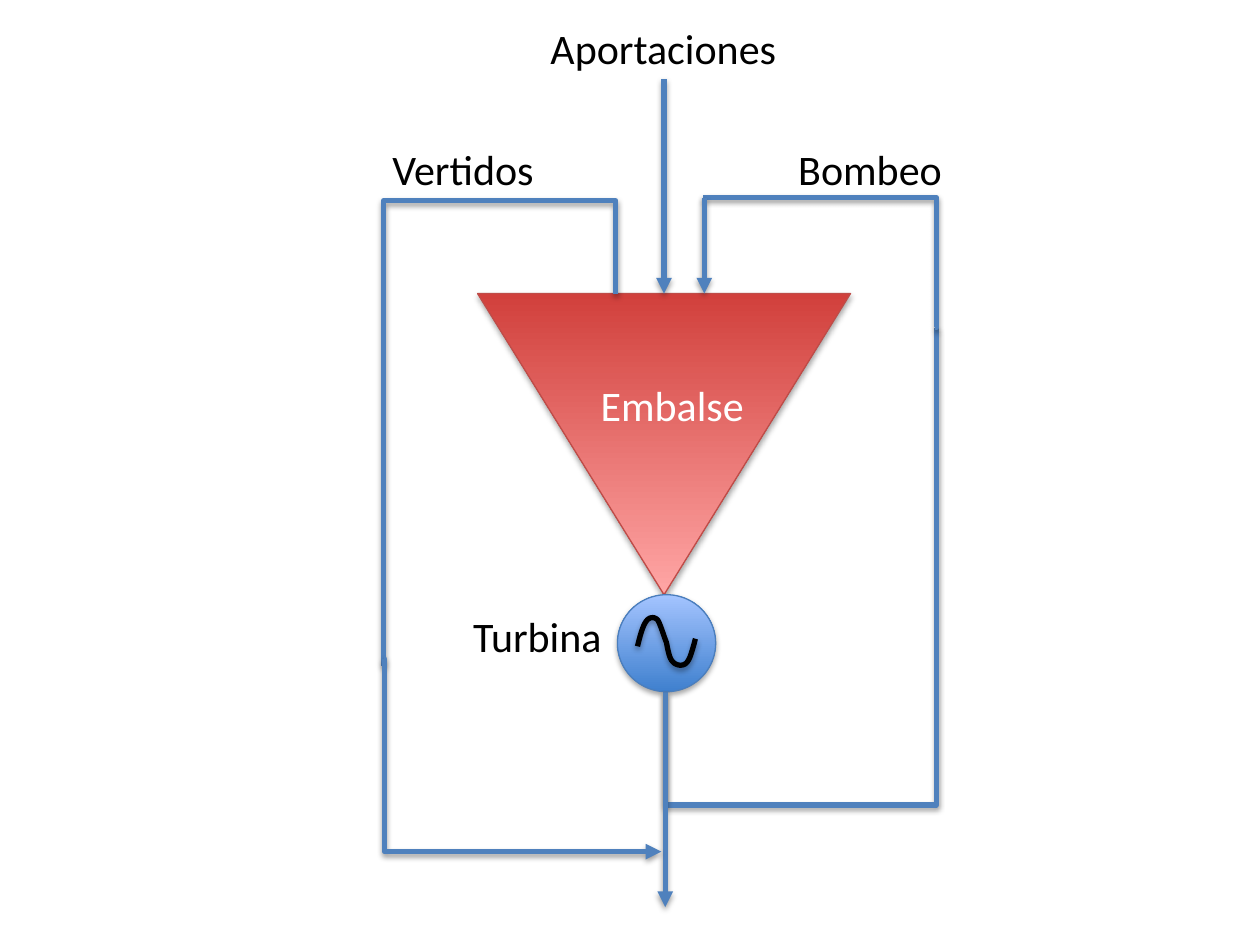
from pptx import Presentation
from pptx.dml.color import RGBColor
from pptx.enum.shapes import MSO_CONNECTOR as Link, MSO_SHAPE as Form
from pptx.enum.text import MSO_AUTO_SIZE as Fit, PP_ALIGN as Align
from pptx.oxml import parse_xml
from pptx.oxml.ns import nsdecls
from pptx.util import Inches, Pt

BLUE = "4F81BD"
WAVE = [(5.06, 5.13), (5.08, 5.05), (5.1, 4.97), (5.13, 4.93),
        (5.15, 4.9), (5.19, 4.89), (5.22, 4.92),
        (5.24, 4.95), (5.27, 5.05), (5.29, 5.1),
        (5.3, 5.15), (5.31, 5.21), (5.33, 5.24),
        (5.35, 5.27), (5.38, 5.28), (5.4, 5.28),
        (5.43, 5.28), (5.45, 5.27), (5.47, 5.23),
        (5.49, 5.19), (5.52, 5.07), (5.52, 5.07)]


def tint(color, code):
    """Set a colour from a hex string."""
    color.rgb = RGBColor.from_string(code)


def shade(item, alpha=35, dist=1.8):
    """Give a shape or line a soft shadow straight below it."""
    item._element.spPr.append(parse_xml(
        f'<a:effectLst {nsdecls("a")}><a:outerShdw blurRad="{Pt(3.15)}" '
        f'dist="{Pt(dist)}" dir="5400000" rotWithShape="0">'
        f'<a:srgbClr val="000000"><a:alpha val="{alpha * 1000}"/></a:srgbClr>'
        '</a:outerShdw></a:effectLst>'))


def stroke(item, code, width):
    """Set the colour and width of an outline."""
    tint(item.line.color, code)
    item.line.width = Pt(width)


def label(slide, text, left, top, width=1.51, code="000000"):
    """Add a centred caption."""
    box = slide.shapes.add_textbox(
        Inches(left), Inches(top), Inches(width), Inches(0.5))
    frame = box.text_frame
    frame.word_wrap = True
    frame.auto_size = Fit.SHAPE_TO_FIT_TEXT
    para = frame.paragraphs[0]
    para.alignment = Align.CENTER
    run = para.add_run()
    run.text = text
    run.font.name = "Calibri"
    run.font.size = Pt(24)
    tint(run.font.color, code)


def solid(slide, form, place, low, high, edge, turn=0):
    """Add a shape with a vertical gradient."""
    item = slide.shapes.add_shape(form, *map(Inches, place))
    item.rotation = turn
    item.fill.gradient()
    item.fill.gradient_angle = 90
    for stop, code in zip(item.fill.gradient_stops, (low, high)):
        tint(stop.color, code)
    stroke(item, edge, 0.75)
    shade(item)


def flow(slide, start, end, arrow=False, kind=Link.STRAIGHT, turn=0, bend=None):
    """Add a pipe line, straight or bent, with an optional arrowhead."""
    line = slide.shapes.add_connector(kind, *map(Inches, start + end))
    stroke(line, BLUE, 3)
    props = line._element.spPr
    if turn:
        props.xfrm.set("rot", str(turn * 60000))
    if bend is not None:
        guides = props.prstGeom.get_or_add_avLst()
        guides.append(parse_xml(
            f'<a:gd {nsdecls("a")} name="adj1" fmla="val {round(bend * 100000)}"/>'))
    if arrow:
        props.ln.append(parse_xml(f'<a:tailEnd {nsdecls("a")} type="triangle"/>'))
    shade(line, 38, 1.57)


def elbow(slide, start, end, bend, turn=0, arrow=False):
    """Add a bent pipe line, given by its box before turning."""
    flow(slide, start, end, arrow, Link.ELBOW, turn, bend)


def curve(nodes, steps=8):
    """Return points along a chain of cubic curves."""
    points = [nodes[0]]
    for i in range(0, len(nodes) - 1, 3):
        for k in range(1, steps + 1):
            t = k / steps
            parts = ((1 - t) ** 3, 3 * t * (1 - t) ** 2,
                     3 * t * t * (1 - t), t ** 3)
            points.append(tuple(
                sum(p * node[axis] for p, node in zip(parts, nodes[i:i + 4]))
                for axis in (0, 1)))
    return points


def wave(slide):
    """Draw the sine mark of the turbine."""
    points = [tuple(map(Inches, point)) for point in curve(WAVE)]
    pen = slide.shapes.build_freeform(*points[0])
    pen.add_line_segments(points[1:], close=False)
    item = pen.convert_to_shape()
    item.fill.background()
    stroke(item, "000000", 3)
    shade(item)


def main():
    """Build the reservoir diagram."""
    deck = Presentation()
    deck.slide_width, deck.slide_height = Inches(10), Inches(7.5)
    slide = deck.slides.add_slide(deck.slide_layouts[6])

    solid(slide, Form.ISOSCELES_TRIANGLE, (3.79, 2.33, 2.96, 2.39),
          "D1403C", "FFA6A5", "BF4C48", 180)
    label(slide, "Embalse", 4.58, 2.96, code="FFFFFF")
    label(slide, "Turbina", 3.51, 4.8)
    solid(slide, Form.OVAL, (4.9, 4.72, 0.78, 0.77),
          "3F80CE", "A4C4FF", "4B7EBC")
    wave(slide)

    flow(slide, (5.27, 0.63), (5.27, 2.33), True)
    label(slide, "Aportaciones", 4.15, 0.13, 2.23)

    elbow(slide, (7.8, 5.12), (4.91, 2.97), -0.311, 90)
    elbow(slide, (5.58, 1.57), (7.42, 2.6), -0.007, 180)
    flow(slide, (5.59, 1.57), (5.59, 2.33), True)
    label(slide, "Bombeo", 6.15, 1.09)

    flow(slide, (5.28, 5.5), (5.28, 7.2), True)
    elbow(slide, (2.49, 2.89), (5.44, 4.73), -0.252, 90)
    elbow(slide, (3.05, 5.23), (5.25, 6.76), 0.001, arrow=True)
    label(slide, "Vertidos", 2.92, 1.09)

    deck.save("out.pptx")


main()
